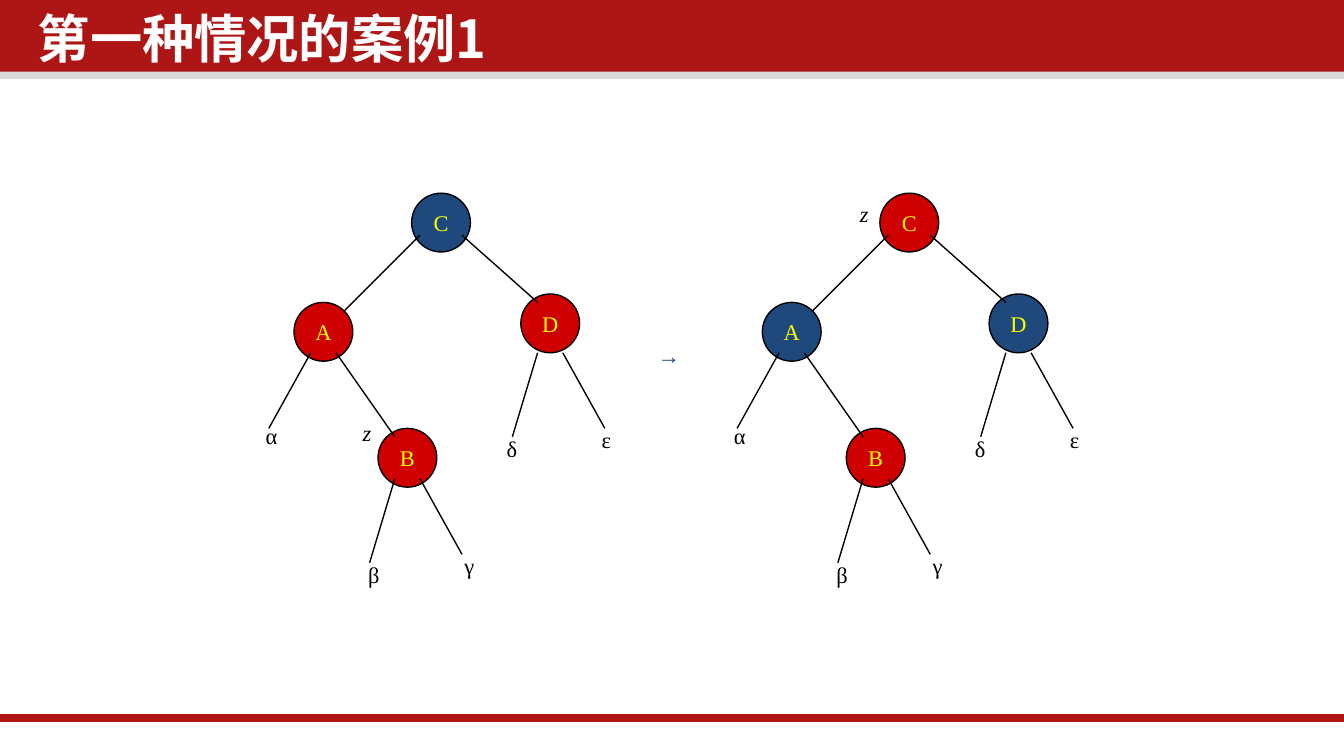
import dataclasses

import pptx
import pptx.dml.color
import pptx.enum.shapes
import pptx.enum.text
import pptx.oxml.ns
import pptx.util
from lxml import etree


@dataclasses.dataclass(frozen=True)
class Theme:
    """Colours, fonts and type sizes of the slide."""
    bar: str = "AE1616"
    shade: str = "D9D9D9"
    red: str = "CE0000"
    blue: str = "1F497D"
    ink: str = "000000"
    key: str = "FFFF00"
    white: str = "FFFFFF"
    title_font: str = "Noto Sans CJK SC"
    body_font: str = "Times New Roman"
    title_size: float = 28
    body_size: float = 12
    thin: float = 0.75
    thick: float = 4


THEME = Theme()
WIDTH = 10
HEIGHT = WIDTH * 9 / 16
UNIT = WIDTH / 160
GRID = 44
NODE_SPAN = 7
NODES = {"A": (5, 13), "C": (19, 0), "B": (15, 28), "D": (32, 12)}
EDGES = [
    (20, 5, 11, 14), (25, 5, 34, 13), (7, 19, 2, 28), (10, 19, 17, 29),
    (37, 19, 42, 28), (34, 19, 31, 29), (20, 34, 25, 43), (17, 34, 14, 44),
]
LEAVES = {
    "α": (0.05, 26.5, 5), "β": (12.25, 43, 4.6), "γ": (23.7, 42, 4.3),
    "δ": (28.75, 28, 4.5), "ε": (40.05, 27, 4.5),
}
LABEL_ROWS = 4.8


def rgb(color):
    """Return a colour object for a hex string."""
    return pptx.dml.color.RGBColor.from_string(color)


def add_run(p, text, color, size=THEME.body_size, font=THEME.body_font, bold=False, italic=False):
    """Add one formatted run, with its font set for East Asian text too."""
    r = p.add_run()
    r.text = text
    r.font.size = pptx.util.Pt(size)
    r.font.name = font
    r.font.bold, r.font.italic = bold, italic
    r.font.color.rgb = rgb(color)
    ea = etree.SubElement(r.font._element, pptx.oxml.ns.qn("a:ea"))
    ea.set("typeface", font)


def add_block(s, kind, box, fill, outline=None):
    """Add a filled preset shape, outlined if a colour is given."""
    sp = s.shapes.add_shape(kind, *map(pptx.util.Inches, box))
    sp.shadow.inherit = False
    sp.fill.solid()
    sp.fill.fore_color.rgb = rgb(fill)
    if outline:
        sp.line.color.rgb = rgb(outline)
        sp.line.width = pptx.util.Pt(THEME.thin)
    else:
        sp.line.fill.background()
    return sp


def add_line(s, ends, color, width):
    """Add a straight line without a shadow."""
    straight = pptx.enum.shapes.MSO_CONNECTOR.STRAIGHT
    sp = s.shapes.add_connector(straight, *map(pptx.util.Inches, ends))
    sp.line.color.rgb = rgb(color)
    sp.line.width = pptx.util.Pt(width)
    etree.SubElement(sp._element.spPr, pptx.oxml.ns.qn("a:effectLst"))


def add_label(s, box, text, color, italic=False):
    """Add a short label that does not wrap."""
    tf = s.shapes.add_textbox(*map(pptx.util.Inches, box)).text_frame
    tf.word_wrap = False
    tf.auto_size = pptx.enum.text.MSO_AUTO_SIZE.SHAPE_TO_FIT_TEXT
    add_run(tf.paragraphs[0], text, color, italic=italic)


def add_header(s, box):
    """Draw the title bar, its grey edge and the title."""
    x, y, w, h = box
    rect = pptx.enum.shapes.MSO_SHAPE.RECTANGLE
    add_block(s, rect, (x, y + 0.85 * h, w, 0.15 * h), THEME.shade)
    add_block(s, rect, (x, y, w, 0.91 * h), THEME.bar)
    title = (x + 3.4 * UNIT, y + 0.1 * h, 122.2 * UNIT, h)
    tf = s.shapes.add_textbox(*map(pptx.util.Inches, title)).text_frame
    tf.word_wrap = True
    tf.margin_left = tf.margin_right = pptx.util.Inches(0.07)
    tf.margin_top = tf.margin_bottom = pptx.util.Inches(0.04)
    p = tf.paragraphs[0]
    p.line_spacing = 0.9
    p.space_before = pptx.util.Pt(7.5)
    add_run(p, "第一种情况的案例1", THEME.white, THEME.title_size, THEME.title_font, bold=True)


def add_footer(s, box):
    """Draw the rule across the middle of the footer box."""
    x, y, w, h = box
    middle = y + h / 2
    add_line(s, (x, middle, x + w, middle), THEME.bar, THEME.thick)


def add_tree(s, box, red_nodes, marker):
    """Draw a red-black tree on a square grid, with z at the marker cell."""
    x, y, w, h = box
    col, row = w / GRID, h / GRID

    def place(c, r, cols, rows):
        """Turn grid cells into a box in inches."""
        return x + c * col, y + r * row, cols * col, rows * row

    for key, (c, r) in NODES.items():
        fill = THEME.red if key in red_nodes else THEME.blue
        node = place(c, r, NODE_SPAN, NODE_SPAN)
        sp = add_block(s, pptx.enum.shapes.MSO_SHAPE.OVAL, node, fill, THEME.ink)
        tf = sp.text_frame
        tf.word_wrap = False
        tf.vertical_anchor = pptx.enum.text.MSO_ANCHOR.MIDDLE
        p = tf.paragraphs[0]
        p.alignment = pptx.enum.text.PP_ALIGN.CENTER
        add_run(p, key, THEME.key)
    for c1, r1, c2, r2 in EDGES:
        ends = (x + c1 * col, y + r1 * row, x + c2 * col, y + r2 * row)
        add_line(s, ends, THEME.ink, THEME.thin)
    for leaf, (c, r, cols) in LEAVES.items():
        add_label(s, place(c, r, cols, LABEL_ROWS), leaf, THEME.ink)
    add_label(s, place(*marker, 4.3, LABEL_ROWS), "z", THEME.ink, italic=True)


def main():
    """Build the slide and save it."""
    prs = pptx.Presentation()
    prs.slide_width = pptx.util.Inches(WIDTH)
    prs.slide_height = pptx.util.Inches(HEIGHT)
    s = prs.slides.add_slide(prs.slide_layouts[6])
    add_header(s, (0, 0, WIDTH, 9.4 * UNIT))
    add_footer(s, (0, 0.9 * HEIGHT, WIDTH, 0.1 * HEIGHT))
    side = GRID * UNIT
    top = 23 * UNIT
    add_tree(s, (30 * UNIT, top, side, side), "ABD", (11.6, 26.1))
    add_tree(s, (85.75 * UNIT, top, side, side), "BC", (15.05, 0))
    add_label(s, (76.7 * UNIT, 40 * UNIT, 6 * UNIT, LABEL_ROWS * UNIT), "→", THEME.blue)
    prs.save("out.pptx")


if __name__ == "__main__":
    main()
